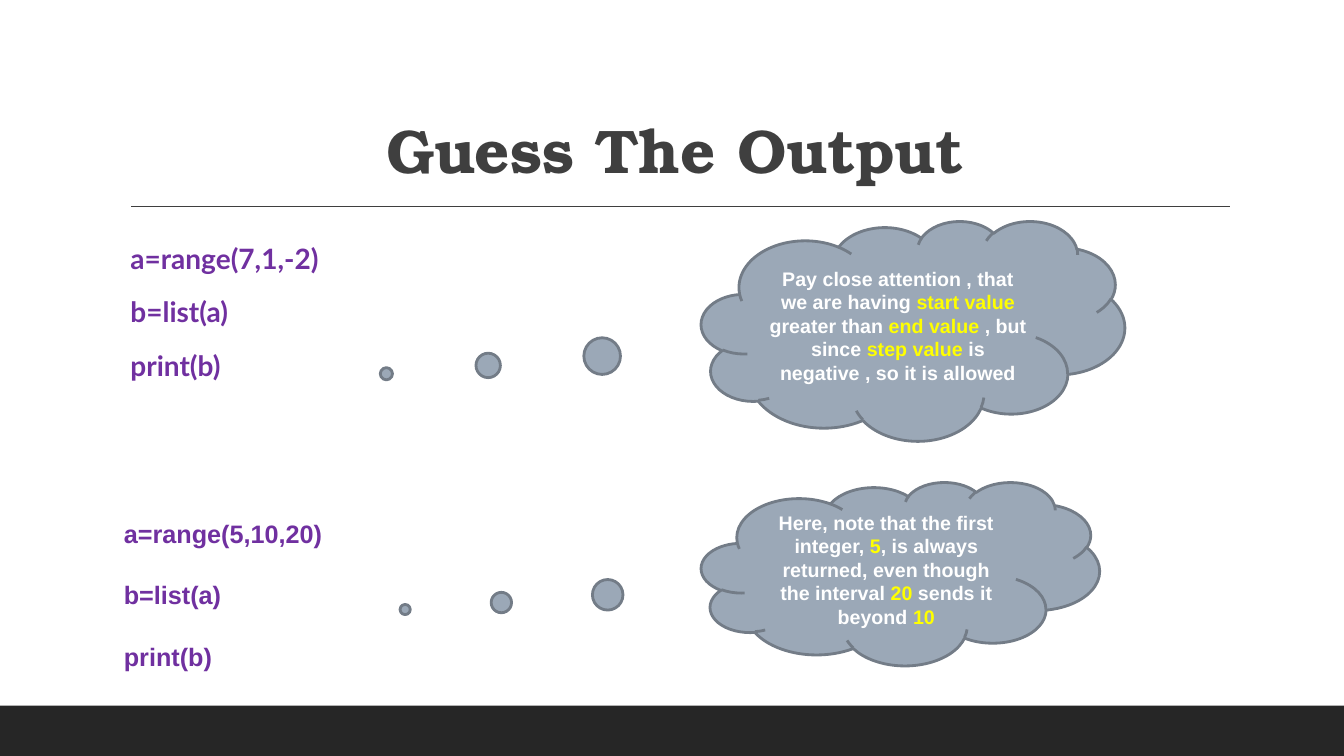
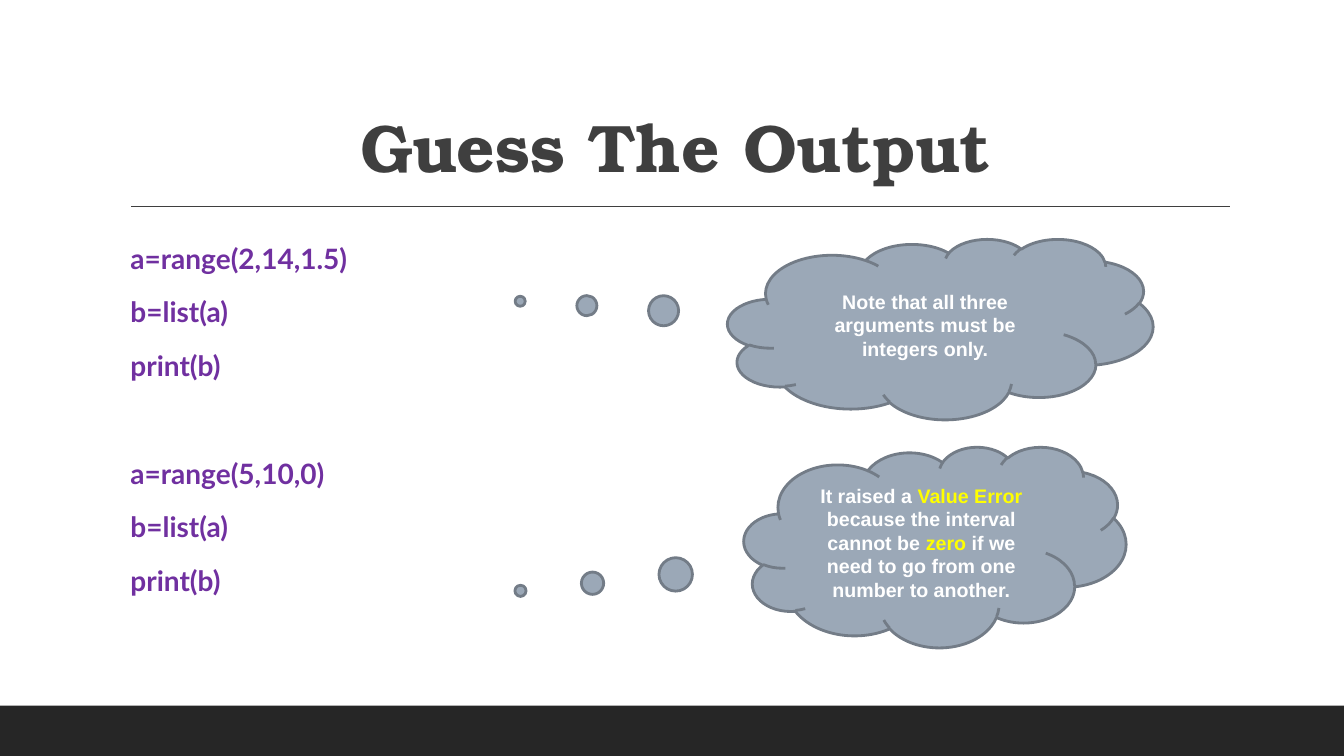
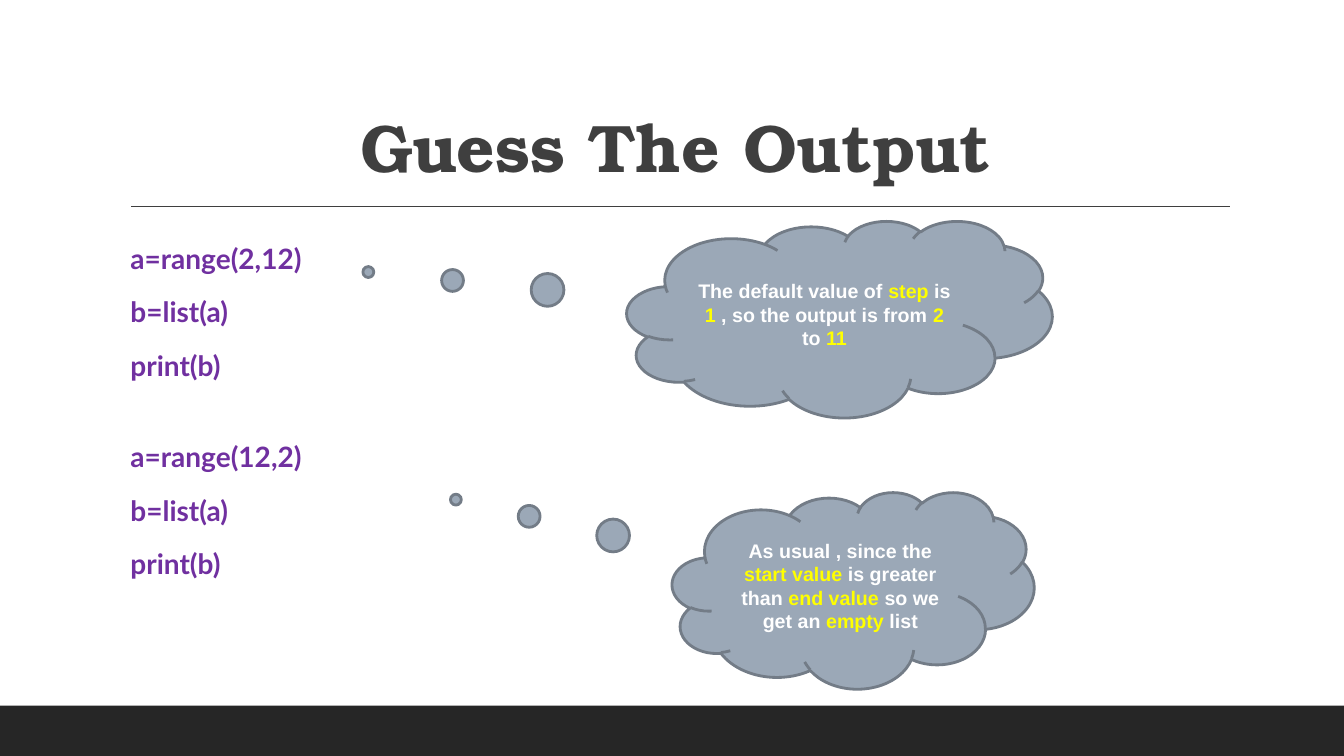
from lxml import etree
from pptx import Presentation
from pptx.dml.color import RGBColor
from pptx.enum import shapes, text
from pptx.oxml.ns import qn
from pptx.util import Pt

WHITE = RGBColor(0xFF, 0xFF, 0xFF)
YELLOW = RGBColor(0xFF, 0xFF, 0x00)
CHARCOAL = RGBColor(0x26, 0x26, 0x26)
DARK_GREY = RGBColor(0x3F, 0x3F, 0x3F)
PURPLE = RGBColor(0x70, 0x30, 0xA0)
CLOUD_FILL = RGBColor(0x9B, 0xA8, 0xB7)
CLOUD_EDGE = RGBColor(0x73, 0x7C, 0x87)

TITLE_FONT, CODE_FONT, NOTE_FONT = "TeX Gyre Bonum", "Lato", "Arial"
SLIDE_W, SLIDE_H, BAND_H = 960, 540, 36
CODE_AREA = (84.2, 166.3, 792, 296)
CODE_INDENT = 9
CODE_LINE = 26.4  # 20 pt Lato at 1.1 line spacing
CODE_GAP = 12


def points(*lengths):
    return [Pt(length) for length in lengths]


def style(run, font, size, color):
    run.font.name = font
    run.font.size = Pt(size)
    run.font.bold = True
    run.font.color.rgb = color


def add_filled_shape(slide, kind, area, fill):
    shape = slide.shapes.add_shape(kind, *points(*area))
    shape.shadow.inherit = False
    shape.fill.solid()
    shape.fill.fore_color.rgb = fill
    shape.line.fill.background()
    return shape


def add_text_frame(slide, area):
    frame = slide.shapes.add_textbox(*points(*area)).text_frame
    frame.word_wrap = True
    return frame


def add_rule(slide, left, right, y):
    rule = slide.shapes.add_connector(
        shapes.MSO_CONNECTOR.STRAIGHT, *points(left, y, right, y))
    rule.line.color.rgb = DARK_GREY
    rule.line.width = Pt(1)
    etree.SubElement(rule._element.spPr, qn("a:effectLst"))


def add_title(slide, wording, size):
    frame = add_text_frame(slide, (86.4, 22.3, 792, 114.5))
    frame.vertical_anchor = text.MSO_ANCHOR.BOTTOM
    frame.text = wording
    heading = frame.paragraphs[0]
    heading.alignment = text.PP_ALIGN.CENTER
    heading.line_spacing = 0.9
    style(heading.runs[0], TITLE_FONT, size, DARK_GREY)


def add_code(slide, area, snippets, font=CODE_FONT, size=20, spacing=1.1,
             gap=CODE_GAP, snippet_gap=0, indent=CODE_INDENT):
    """Write snippets in one box, snippet_gap being the gap between them."""
    frame = add_text_frame(slide, area)
    frame.margin_left = Pt(indent)
    frame.text = "\n".join(line for snippet in snippets for line in snippet)
    starts = {len(snippets[0])}
    for number, line in enumerate(frame.paragraphs):
        line.line_spacing = spacing
        if number:
            line.space_before = Pt(snippet_gap if number in starts else gap)
        style(line.runs[0], font, size, PURPLE)


def add_thought(slide, area, tail, note):
    """Add a thought cloud; parts of the note between asterisks are yellow."""
    cloud = add_filled_shape(
        slide, shapes.MSO_SHAPE.CLOUD_CALLOUT, area, CLOUD_FILL)
    cloud.line.color.rgb = CLOUD_EDGE
    cloud.line.width = Pt(2)
    cloud.adjustments[0], cloud.adjustments[1] = tail
    frame = cloud.text_frame
    frame.word_wrap = True
    frame.vertical_anchor = text.MSO_ANCHOR.MIDDLE
    sentence = frame.paragraphs[0]
    sentence.alignment = text.PP_ALIGN.CENTER
    for number, part in enumerate(note.split("*")):
        if part:
            run = sentence.add_run()
            run.text = part
            style(run, NOTE_FONT, 14, YELLOW if number % 2 else WHITE)


def add_quiz_slide(deck, title_size=48):
    slide = deck.slides.add_slide(deck.slide_layouts[6])
    add_filled_shape(slide, shapes.MSO_SHAPE.RECTANGLE,
                     (0, SLIDE_H - BAND_H, SLIDE_W, BAND_H), CHARCOAL)
    add_rule(slide, 93.6, 878.4, 147.6)
    add_title(slide, "Guess The Output", title_size)
    return slide


def listing(arguments):
    return [f"a=range({arguments})", "b=list(a)", "print(b)"]


def main():
    deck = Presentation()
    deck.slide_width, deck.slide_height = points(SLIDE_W, SLIDE_H)

    negative_step = add_quiz_slide(deck, title_size=44)
    add_code(negative_step, CODE_AREA, [listing("7,1,-2")])
    add_code(negative_step, (81.4, 366.5, 480, 116.6), [listing("5,10,20")],
             font=NOTE_FONT, size=18, spacing=1.0, gap=22.5, indent=7.2)
    add_thought(negative_step, (501, 157.7, 302.4, 157), (-1.244, 0.196),
                "Pay close attention , that we are having *start value *"
                "greater than *end value *, but since *step value *"
                "is negative , so it is allowed")
    add_thought(negative_step, (501, 344.2, 284.4, 131), (-1.244, 0.196),
                "Here, note that the first integer, *5*, is always returned, "
                "even though the interval *20* sends it beyond *10*")

    bad_arguments = add_quiz_slide(deck)
    add_code(bad_arguments, CODE_AREA, [listing("2,14,1.5"), listing("5,10,0")],
             snippet_gap=CODE_LINE + 2 * CODE_GAP)
    add_thought(bad_arguments, (519.8, 170.6, 303.8, 128.9), (-0.988, -0.154),
                "Note that all three arguments must be integers only.")
    add_thought(bad_arguments, (531.4, 319, 272.9, 143.3), (-1.085, 0.219),
                "It raised a *Value Error* because the interval cannot be "
                "*zero *if we need to go from one number to another.")

    default_step = add_quiz_slide(deck)
    add_code(default_step, CODE_AREA, [listing("2,12"), listing("12,2")],
             snippet_gap=CODE_LINE + CODE_GAP)
    add_thought(default_step, (447.8, 157.7, 303.8, 140.4), (-1.108, -0.239),
                "The default value of *step* is *1* , so the output is from "
                "*2 *to *11*")
    add_thought(default_step, (480.2, 351.4, 258.5, 140.4), (-1.098, -0.461),
                "As usual , since the *start value *is greater than "
                "*end value* so we get an *empty* list")

    deck.save("out.pptx")


if __name__ == "__main__":
    main()
